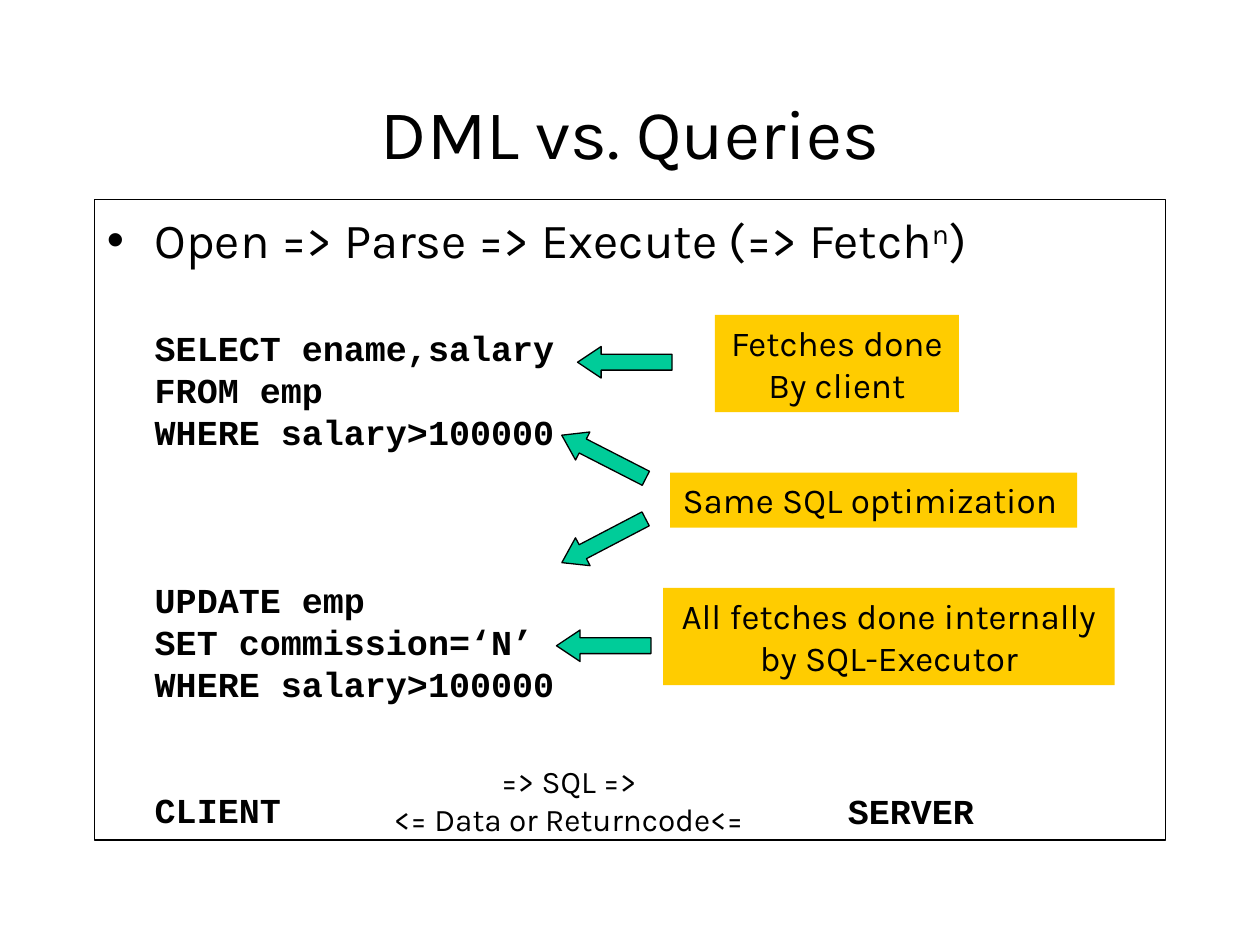
from dataclasses import dataclass
from lxml.etree import SubElement as Sub
from pptx import Presentation
from pptx.dml.color import RGBColor as Rgb
from pptx.enum.shapes import MSO_SHAPE as Kind
from pptx.enum.text import MSO_ANCHOR as Anchor, MSO_AUTO_SIZE as Fit, PP_ALIGN as Align
from pptx.oxml.ns import qn
from pptx.util import Pt


@dataclass(frozen=True)
class Theme:
    """Colours, fonts and type sizes of the slide."""
    ink: Rgb = Rgb(0, 0, 0)
    note: Rgb = Rgb(0xFF, 0xCC, 0)
    arrow: Rgb = Rgb(0, 0xCC, 0x99)
    sans: str = "Karla"
    mono: str = "Courier New"
    title: int = 40
    lead: int = 28
    body: int = 20
    flow: int = 18
    pitch: int = 24


LOOK = Theme()
INDENT = 27.36


def style(para, size, face=LOOK.sans, bold=False):
    """Format every run of a paragraph."""
    for run in para.runs:
        font = run.font
        font.size, font.name, font.bold = Pt(size), face, bold
        font.color.rgb = LOOK.ink


def write(shape, text, size, align=Align.CENTER, anchor=Anchor.TOP):
    """Put sans-serif text into a shape."""
    frame = shape.text_frame
    frame.text = text
    frame.word_wrap, frame.auto_size = True, Fit.NONE
    frame.vertical_anchor = anchor
    frame.margin_left = frame.margin_right = Pt(7.2)
    frame.margin_top = frame.margin_bottom = Pt(3.6)
    for para in frame.paragraphs:
        para.alignment = align
        style(para, size)
    return frame


def block(slide, kind, box, fill=None, line=None):
    """Add a flat preset shape."""
    shape = slide.shapes.add_shape(kind, *map(Pt, box))
    shape.shadow.inherit = False
    if fill is None:
        shape.fill.background()
    else:
        shape.fill.solid()
        shape.fill.fore_color.rgb = fill
    if line is None:
        shape.line.fill.background()
    else:
        shape.line.color.rgb = line
        shape.line.width = Pt(0.75)
    return shape


def label(slide, box, text, size, align=Align.CENTER):
    """Add a plain text box."""
    return write(slide.shapes.add_textbox(*map(Pt, box)), text, size, align)


def arrow(slide, left, top, turn=0):
    """Add a left arrow, turned by some degrees."""
    shape = block(slide, Kind.LEFT_ARROW, (left, top, 54, 18), LOOK.arrow, LOOK.ink)
    shape.adjustments[0], shape.adjustments[1] = 0.5, 0.75
    shape.rotation = turn


def lead(para):
    """Turn a paragraph into the bulleted call sequence."""
    for text in ("Open => Parse => Execute (=> Fetch", "n", ")"):
        para.add_run().text = text
    style(para, LOOK.lead)
    para.runs[1].font._element.set("baseline", "30000")
    props = para._p.get_or_add_pPr()
    props.set("marL", str(Pt(INDENT)))
    props.set("indent", str(-Pt(INDENT)))
    tint = Sub(props, qn("a:buClr"))
    Sub(tint, qn("a:srgbClr")).set("val", str(LOOK.ink))
    Sub(props, qn("a:buFont")).set("typeface", "Arial")
    Sub(props, qn("a:buChar")).set("char", "•")
    para.alignment = Align.LEFT


def code(para, text, gap=0, inset=0):
    """Set a paragraph as bold code on the line grid."""
    para.text = text
    style(para, LOOK.body, LOOK.mono, True)
    para.alignment = Align.LEFT
    para.line_spacing = Pt(LOOK.pitch)
    para.space_before = Pt(gap)
    para._p.get_or_add_pPr().set("marL", str(Pt(inset)))
    para._p.get_or_add_pPr().set("indent", "0")


def panel(slide):
    """Add the framed body with the sequence and both statements."""
    shape = block(slide, Kind.RECTANGLE, (54, 114, 612, 366), line=LOOK.ink)
    frame = write(shape, "", LOOK.body, Align.LEFT)
    frame.margin_top = Pt(6)
    lead(frame.paragraphs[0])
    parts = (
        ("SELECT ename,salary\vFROM emp\vWHERE salary>100000", 33),
        ("UPDATE emp\vSET commission=‘N’\vWHERE salary>100000", 3 * LOOK.pitch),
        ("CLIENT", 2 * LOOK.pitch),
    )
    for text, gap in parts:
        code(frame.add_paragraph(), text, gap, INDENT)


def main():
    """Build and save the slide."""
    deck = Presentation()
    deck.slide_width, deck.slide_height = Pt(720), Pt(540)
    slide = deck.slides.add_slide(deck.slide_layouts[5])
    title = slide.shapes.title
    title.left, title.top, title.width, title.height = map(Pt, (54, 48, 612, 54))
    write(title, "DML vs. Queries", LOOK.title, anchor=Anchor.MIDDLE)
    panel(slide)
    notes = (
        ((383, 270, 232.5, 31.5), "Same SQL optimization", Align.LEFT),
        ((379, 336, 258, 55.5), "All fetches done internally\nby SQL-Executor", Align.CENTER),
        ((408.5, 180, 139.5, 55.5), "Fetches done\nBy client", Align.CENTER),
    )
    for box, text, align in notes:
        write(block(slide, Kind.RECTANGLE, box, LOOK.note), text, LOOK.body, align)
    for spot in ((318, 252, 27.1), (318, 300, 332.4), (330, 198), (318, 360)):
        arrow(slide, *spot)
    label(slide, (212, 432, 226, 50.4), "=> SQL =>\v<= Data or Returncode<=", LOOK.flow)
    server = label(slide, (477.4, 447.5, 100, 31.2), "", LOOK.body, Align.LEFT)
    code(server.paragraphs[0], "SERVER")
    deck.save("out.pptx")


if __name__ == "__main__":
    main()
